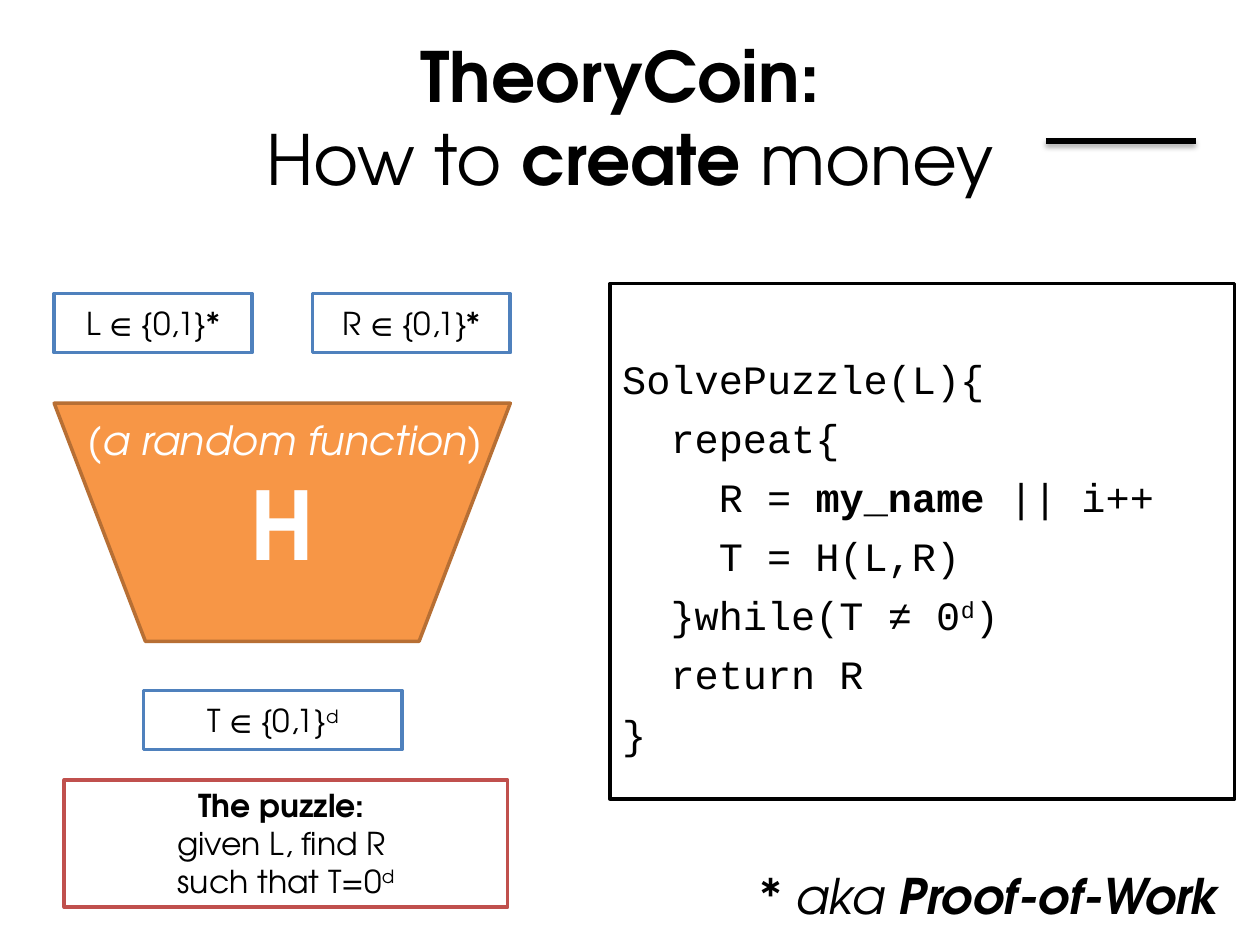
import dataclasses
import typing

import lxml.etree
import pptx
import pptx.dml.color
import pptx.enum.shapes
import pptx.enum.text
import pptx.oxml.ns
import pptx.util

Inches = pptx.util.Inches
Pt = pptx.util.Pt
Shape = pptx.enum.shapes.MSO_SHAPE
Align = pptx.enum.text.PP_ALIGN
Anchor = pptx.enum.text.MSO_ANCHOR
AutoSize = pptx.enum.text.MSO_AUTO_SIZE


@dataclasses.dataclass(frozen=True)
class Theme:
    font: str = "TeX Gyre Adventor"
    code_font: str = "Courier New"
    black: str = "000000"
    white: str = "FFFFFF"
    blue: str = "4F81BD"
    red: str = "C0504D"
    orange: str = "F79646"
    brown: str = "B76F34"
    title: float = 39.6
    function: float = 54
    note: float = 28
    code: float = 23
    label: float = 18
    outline: float = 2
    rule: float = 3
    code_gap: float = 6.2


THEME = Theme()


class Span(typing.NamedTuple):
    text: str
    bold: bool = False
    italic: bool = False
    superscript: bool = False


class Style(typing.NamedTuple):
    size: float
    color: str = THEME.black
    font: str = THEME.font
    align: Align = Align.CENTER


class Box(typing.NamedTuple):
    left: float
    top: float
    width: float
    height: float

    def lengths(self) -> list:
        return [Inches(value) for value in self]


class CodeLine(typing.NamedTuple):
    depth: int
    spans: list


def rgb(color: str) -> pptx.dml.color.RGBColor:
    return pptx.dml.color.RGBColor.from_string(color)


def write_line(para, spans: list, style: Style) -> None:
    """Add formatted spans to a paragraph."""
    para.alignment = style.align
    for item in spans:
        span = para.add_run()
        span.text = item.text
        span.font.name = style.font
        span.font.size = Pt(style.size)
        span.font.color.rgb = rgb(style.color)
        span.font.bold = item.bold
        span.font.italic = item.italic
        if item.superscript:
            span._r.get_or_add_rPr().set("baseline", "30000")


def write(frame, lines: list, style: Style) -> None:
    """Fill a text frame, one paragraph per line."""
    frame.word_wrap = True
    for index, spans in enumerate(lines):
        para = frame.add_paragraph() if index else frame.paragraphs[0]
        write_line(para, spans, style)


def add_panel(shapes, box: Box, line: str, fill: str = THEME.white, kind=Shape.RECTANGLE):
    panel = shapes.add_shape(kind, *box.lengths())
    panel.shadow.inherit = False
    panel.fill.solid()
    panel.fill.fore_color.rgb = rgb(fill)
    panel.line.color.rgb = rgb(line)
    panel.line.width = Pt(THEME.outline)
    panel.text_frame.vertical_anchor = Anchor.MIDDLE
    return panel


def add_text(shapes, box: Box, lines: list, style: Style):
    frame = shapes.add_textbox(*box.lengths()).text_frame
    write(frame, lines, style)
    return frame


def add_rule(shapes, left: float, right: float, top: float) -> None:
    """Draw the thick rule with its soft shadow."""
    rule = shapes.add_connector(
        pptx.enum.shapes.MSO_CONNECTOR.STRAIGHT,
        Inches(left), Inches(top), Inches(right), Inches(top))
    rule.line.color.rgb = rgb(THEME.black)
    rule.line.width = Pt(THEME.rule)
    qn = pptx.oxml.ns.qn
    effects = lxml.etree.SubElement(rule._element.spPr, qn("a:effectLst"))
    shadow = lxml.etree.SubElement(
        effects, qn("a:outerShdw"), blurRad=str(Pt(3.1)), dist=str(Pt(1.8)),
        dir=str(90 * 60000), rotWithShape="0")
    color = lxml.etree.SubElement(shadow, qn("a:srgbClr"), val=THEME.black)
    lxml.etree.SubElement(color, qn("a:alpha"), val="35000")


def add_code(shapes, box: Box, lines: list) -> None:
    """Draw the code panel, indenting two characters per depth."""
    frame = add_panel(shapes, box, THEME.black).text_frame
    frame.vertical_anchor = Anchor.TOP
    frame.margin_top = Inches(0.56)
    write(frame, [line.spans for line in lines],
          Style(THEME.code, font=THEME.code_font, align=Align.LEFT))
    for index, (para, line) in enumerate(zip(frame.paragraphs, lines)):
        para.space_before = Pt(THEME.code_gap if index else 0)
        properties = para._p.get_or_add_pPr()
        properties.set("marL", str(Pt(line.depth * 2 * 0.6 * THEME.code)))
        properties.set("indent", "0")


def main() -> None:
    deck = pptx.Presentation()
    deck.slide_width, deck.slide_height = Inches(10), Inches(7.5)
    page = deck.slides.add_slide(deck.slide_layouts[6])
    shapes = page.shapes
    label = Style(THEME.label)

    # Title
    title = add_text(
        shapes, Box(0.5, 0.3, 9, 1.25),
        [[Span("TheoryCoin: ", bold=True)],
         [Span("How to "), Span("create ", bold=True), Span("money")]],
        Style(THEME.title))
    title.vertical_anchor = Anchor.MIDDLE

    # Hash function
    funnel = add_panel(shapes, Box(0.43, 3.2, 3.62, 1.89), THEME.brown,
                       THEME.orange, Shape.FLOWCHART_MANUAL_OPERATION).text_frame
    funnel.margin_left = funnel.margin_right = 0
    funnel.margin_top = funnel.margin_bottom = 0
    write(funnel, [[Span("H", bold=True)]], Style(THEME.function, THEME.white))

    # Inputs and output
    for box, spans in (
        (Box(0.43, 2.33, 1.57, 0.47), [Span("L ∈ {0,1}*")]),
        (Box(2.48, 2.33, 1.57, 0.47), [Span("R ∈ {0,1}*")]),
        (Box(1.14, 5.48, 2.05, 0.47), [Span("T ∈ {0,1}"), Span("d", superscript=True)]),
    ):
        write(add_panel(shapes, box, THEME.blue).text_frame, [spans], label)

    # Puzzle-solving code
    add_code(shapes, Box(4.84, 2.25, 4.96, 4.09), [
        CodeLine(0, [Span("SolvePuzzle(L){")]),
        CodeLine(1, [Span("repeat{")]),
        CodeLine(2, [Span("R = "), Span("my_name", bold=True), Span(" || i++")]),
        CodeLine(2, [Span("T = H(L,R)")]),
        CodeLine(1, [Span("}while(T ≠ 0"), Span("d", superscript=True), Span(")")]),
        CodeLine(1, [Span("return R")]),
        CodeLine(0, [Span("}")]),
    ])

    # Puzzle statement
    puzzle = add_panel(shapes, Box(0.51, 6.19, 3.52, 1.01), THEME.red).text_frame
    puzzle.vertical_anchor = Anchor.TOP
    write(puzzle, [[Span("The puzzle: ", bold=True)],
                   [Span("given L, find R ")],
                   [Span("such that T=0"), Span("d", superscript=True)]], label)
    puzzle.auto_size = AutoSize.SHAPE_TO_FIT_TEXT

    # Rule over a white block
    group = shapes.add_group_shape()
    add_panel(group.shapes, Box(8.3, 1.12, 1.18, 0.74), THEME.white)
    add_rule(group.shapes, 8.3, 9.49, 1.12)

    # Function caption and footnote
    caption = add_text(shapes, Box(0.51, 3.25, 3.51, 0.49),
                       [[Span("(a random function)", italic=True)]],
                       Style(THEME.code, THEME.white))
    caption.auto_size = AutoSize.SHAPE_TO_FIT_TEXT
    note = add_text(shapes, Box(5.94, 6.82, 3.95, 0.57),
                    [[Span("* aka ", italic=True),
                      Span("Proof-of-Work", bold=True, italic=True)]],
                    Style(THEME.note, align=Align.LEFT))
    note.word_wrap = False
    note.auto_size = AutoSize.SHAPE_TO_FIT_TEXT

    deck.save("out.pptx")


if __name__ == "__main__":
    main()
